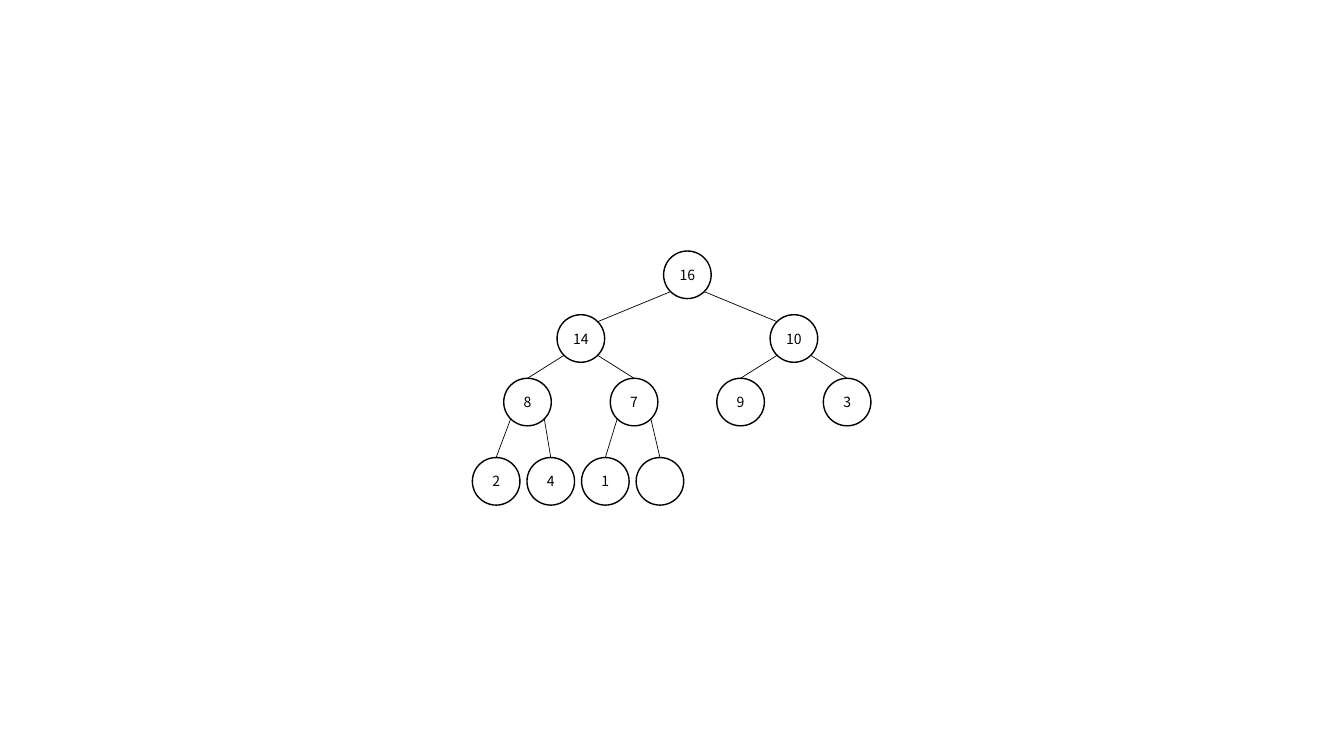
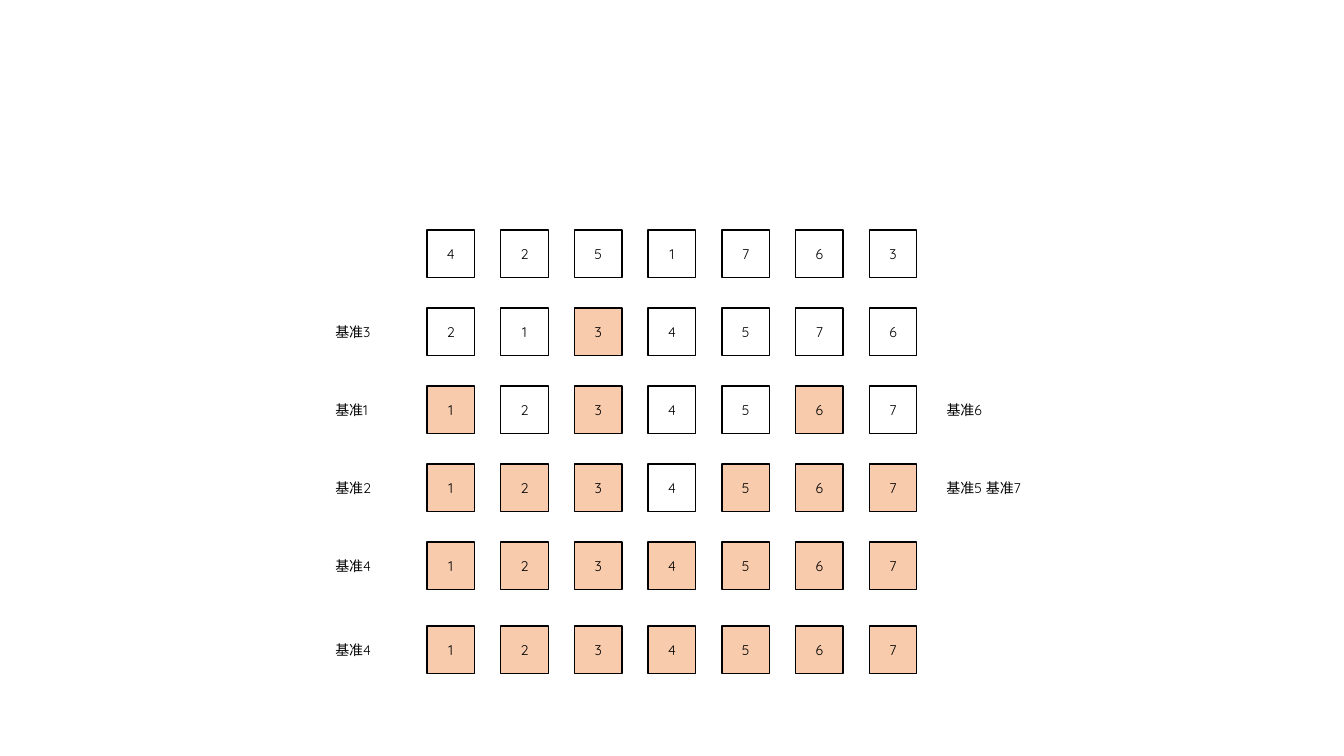
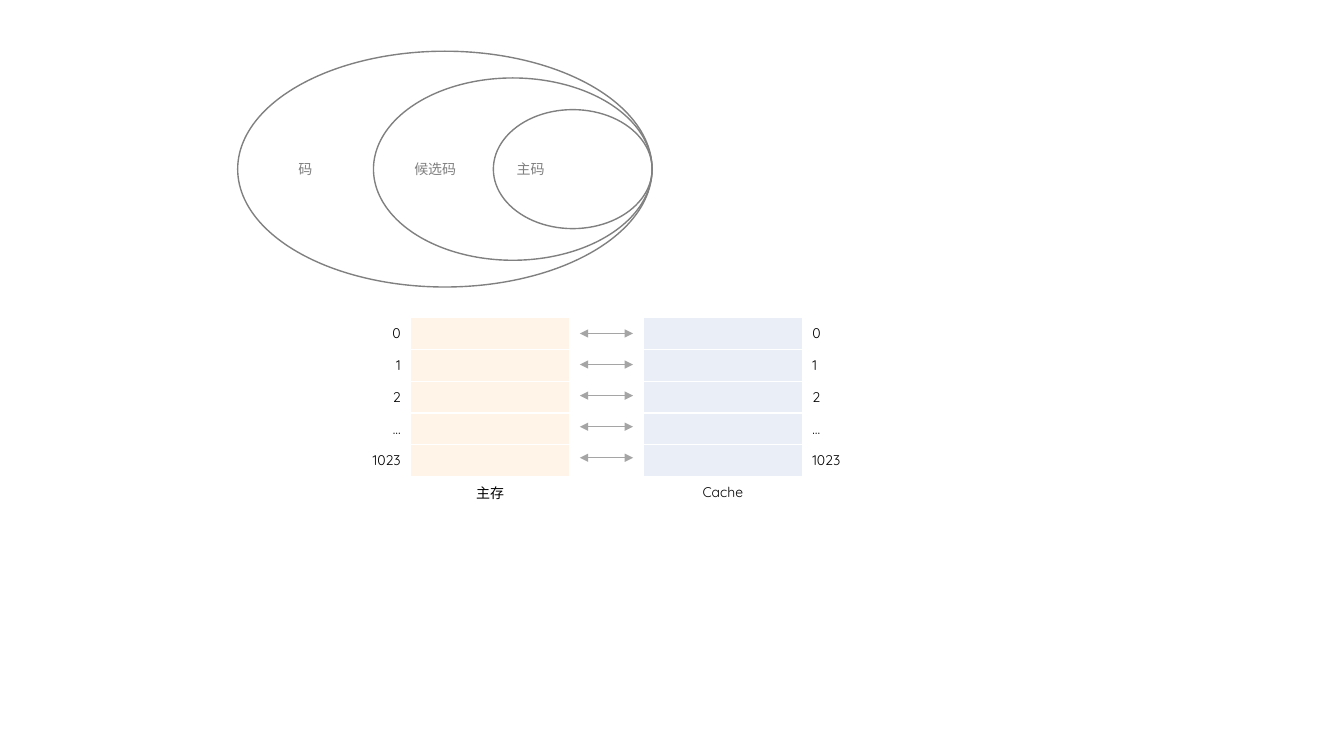
"""Build three slides: a heap, a quicksort trace, and key sets with cache mapping."""
from math import sqrt

from lxml.etree import SubElement
from pptx import Presentation
from pptx.dml.color import RGBColor
from pptx.enum.shapes import MSO_CONNECTOR, MSO_SHAPE
from pptx.enum.text import MSO_ANCHOR, PP_ALIGN
from pptx.oxml.ns import qn
from pptx.util import Pt

BLACK = RGBColor(0x00, 0x00, 0x00)
WHITE = RGBColor(0xFF, 0xFF, 0xFF)
GRAY = RGBColor(0x80, 0x80, 0x80)
SILVER = RGBColor(0xA5, 0xA5, 0xA5)
PEACH = RGBColor(0xF8, 0xCB, 0xAD)
CREAM = RGBColor(0xFF, 0xF4, 0xE7)
ICE = RGBColor(0xEA, 0xEF, 0xF7)
LATIN = "Quicksand"
HAN = "Noto Sans CJK SC"
SIZE = 10
BOX = 34


def write(frame, text, font=LATIN, color=BLACK, align=PP_ALIGN.LEFT,
          anchor=MSO_ANCHOR.MIDDLE, inset=None):
    """Put one line of formatted text into a frame."""
    frame.word_wrap = True
    frame.vertical_anchor = anchor
    if inset is not None:
        frame.margin_left = frame.margin_right = Pt(inset)
        frame.margin_top = frame.margin_bottom = Pt(inset)
    para = frame.paragraphs[0]
    para.alignment = align
    run = para.add_run()
    run.text = text
    run.font.name = font
    run.font.size = Pt(SIZE)
    run.font.color.rgb = color
    SubElement(run.font._element, qn("a:ea"), typeface=HAN)


def draw(slide, kind, left, top, width, height, line=BLACK, fill=None):
    """Add an outlined shape, hollow unless a fill is given."""
    shape = slide.shapes.add_shape(kind, Pt(left), Pt(top), Pt(width), Pt(height))
    shape.shadow.inherit = False
    shape.line.color.rgb = line
    shape.line.width = Pt(1)
    if fill is None:
        shape.fill.background()
    else:
        shape.fill.solid()
        shape.fill.fore_color.rgb = fill
    return shape


def link(slide, start, end, color=BLACK, heads=False):
    """Add a thin straight line, with arrowheads at both ends if asked."""
    line = slide.shapes.add_connector(
        MSO_CONNECTOR.STRAIGHT, *(Pt(v) for v in (*start, *end)))
    line.line.color.rgb = color
    line.line.width = Pt(0.5)
    if heads:
        for tag in ("a:headEnd", "a:tailEnd"):
            SubElement(line.line._get_or_add_ln(), qn(tag), type="triangle")
    SubElement(line._element.spPr, qn("a:effectLst"))
    return line


def label(slide, text, left, top, width):
    """Add a text box that wraps at its width."""
    box = slide.shapes.add_textbox(Pt(left), Pt(top), Pt(width), Pt(19))
    write(box.text_frame, text, anchor=MSO_ANCHOR.TOP)


def edge(cell):
    """Give a cell white borders."""
    props = cell._tc.get_or_add_tcPr()
    for at, tag in enumerate(("a:lnL", "a:lnR", "a:lnT", "a:lnB")):
        line = SubElement(props, qn(tag), w=str(Pt(1)))
        fill = SubElement(line, qn("a:solidFill"))
        SubElement(fill, qn("a:srgbClr"), val=str(WHITE))
        props.remove(line)
        props.insert(at, line)


def grid(slide, left, rows, fills, aligns):
    """Add a table whose filled cells are the blank memory blocks."""
    wide, high = 113.4, 22.68
    frame = slide.shapes.add_table(len(rows), 2, Pt(left), Pt(227),
                                   Pt(2 * wide), Pt(high * len(rows)))
    table = frame.table
    table.first_row = table.horz_banding = False
    for col in table.columns:
        col.width = Pt(wide)
    for y, row in enumerate(rows):
        table.rows[y].height = Pt(high)
        last = y == len(rows) - 1
        for x, text in enumerate(row):
            cell = table.cell(y, x)
            cell.vertical_anchor = MSO_ANCHOR.MIDDLE
            cell.margin_top = cell.margin_bottom = Pt(0)
            if fills[x] and not last:
                cell.fill.solid()
                cell.fill.fore_color.rgb = fills[x]
            else:
                cell.fill.background()
            edge(cell)
            if text:
                write(cell.text_frame, text,
                      align=PP_ALIGN.CENTER if last else aligns[x])
            else:
                para = cell.text_frame.paragraphs[0]
                SubElement(para._p, qn("a:endParaRPr"), sz=str(SIZE * 100))


def heap(slide):
    """Draw a binary heap level by level."""
    keys = ["16", "14", "10", "8", "7", "9", "3", "2", "4", "1", ""]
    tiers = [(474, 0, 179.3), (397.9, 152.2, 224.8),
             (359.8, 76.1, 270.2), (337.4, 39, 326.8)]
    near = BOX / 2 * (1 - sqrt(0.5))
    far = BOX - near
    spots = []
    for n, key in enumerate(keys):
        tier = (n + 1).bit_length() - 1
        first, step, top = tiers[tier]
        left = first + step * (n + 1 - 2 ** tier)
        spots.append((left, top))
        node = draw(slide, MSO_SHAPE.OVAL, left, top, BOX, BOX)
        if key:
            write(node.text_frame, key, font=HAN, align=PP_ALIGN.CENTER, inset=0)
        if n == 0:
            continue
        on_left = n % 2 == 1
        px, py = spots[(n - 1) // 2]
        start = (px + (near if on_left else far), py + far)
        if tier == 1:
            link(slide, start, (left + (far if on_left else near), top + near))
        else:
            link(slide, start, (left + BOX / 2, top)).end_connect(node, 0)


def sort(slide):
    """Draw each pass of a quicksort, shading the keys in place."""
    steps = [
        (164.3, "4251763", "", "", ""),
        (220, "2134576", "3", "基准3", ""),
        (275.7, "1234567", "136", "基准1", "基准6"),
        (331.4, "1234567", "123567", "基准2", "基准5 基准7"),
        (387.1, "1234567", "1234567", "基准4", ""),
        (447.1, "1234567", "1234567", "基准4", ""),
    ]
    for top, keys, done, before, after in steps:
        for n, key in enumerate(keys):
            cell = draw(slide, MSO_SHAPE.RECTANGLE, 305 + 52.65 * n, top, BOX, BOX,
                        fill=PEACH if key in done else None)
            write(cell.text_frame, key, align=PP_ALIGN.CENTER)
        if before:
            label(slide, before, 232.4, top + 7.5, 40)
        if after:
            label(slide, after, 669, top + 7.5, 69 if " " in after else 40)


def sets(slide):
    """Draw nested key sets that touch at the right."""
    right, mid = 465.8, 120.8
    for text, width, height in (("码", 296, 168.4), ("候选码", 199, 130.2),
                                ("主码", 113.4, 85)):
        ring = draw(slide, MSO_SHAPE.OVAL, right - width, mid - height / 2,
                    width, height, line=GRAY)
        write(ring.text_frame, text, color=GRAY, inset=0)


def cache(slide):
    """Draw main memory and cache with the block mapping."""
    marks = ["0", "1", "2", "…", "1023"]
    left, right = PP_ALIGN.LEFT, PP_ALIGN.RIGHT
    grid(slide, 180, [(m, "") for m in marks] + [("", "主存")],
         (None, CREAM), (right, left))
    grid(slide, 459.6, [("", m) for m in marks] + [("Cache", "")],
         (ICE, None), (left, left))
    for n in range(len(marks)):
        y = 238.2 + 22.2 * n
        link(slide, (414.2, y), (452.2, y), color=SILVER, heads=True)


def main():
    """Build and save the deck."""
    deck = Presentation()
    deck.slide_width, deck.slide_height = Pt(960), Pt(540)
    for parts in ((heap,), (sort,), (cache, sets)):
        slide = deck.slides.add_slide(deck.slide_layouts[6])
        for part in parts:
            part(slide)
    deck.save("out.pptx")


if __name__ == "__main__":
    main()
